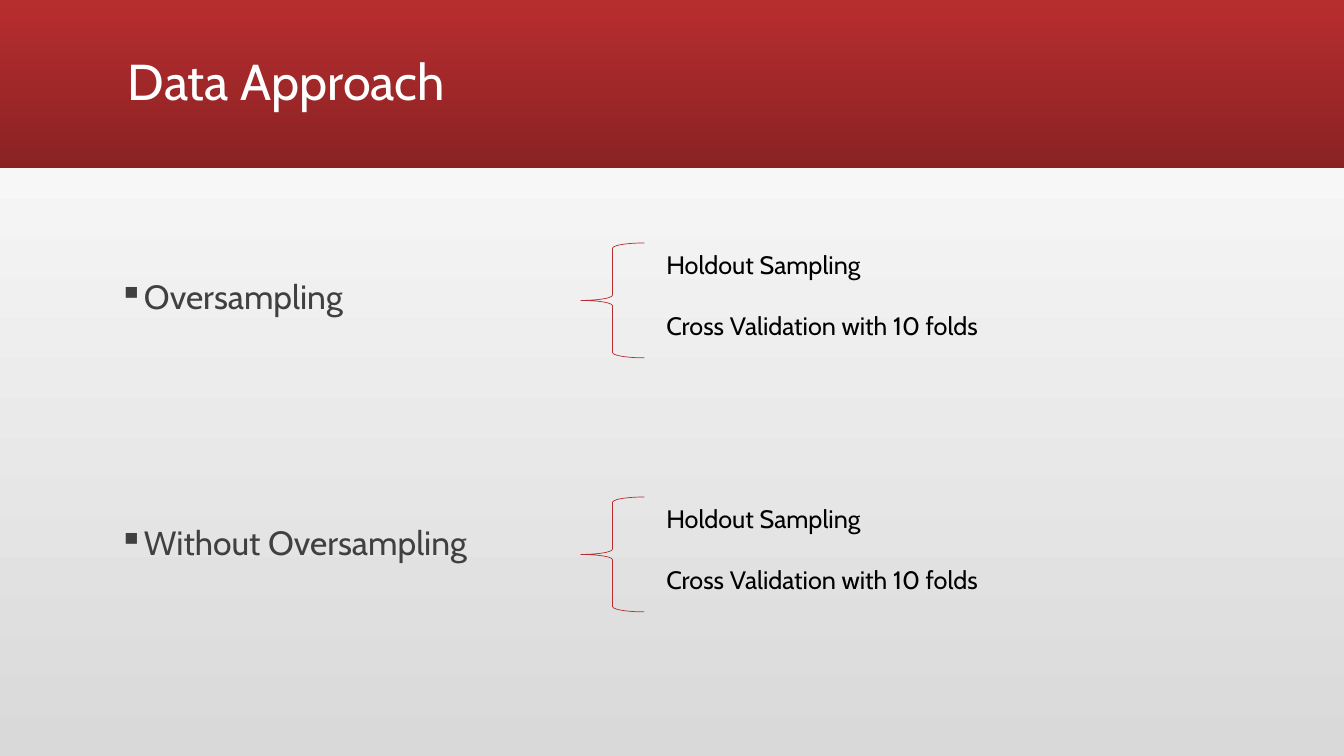
from lxml.etree import SubElement
from pptx import Presentation
from pptx.dml.color import RGBColor
from pptx.enum.shapes import MSO_SHAPE as Shape
from pptx.enum.text import MSO_ANCHOR as Anchor
from pptx.oxml.ns import qn
from pptx.util import Inches, Pt

RED = RGBColor(0xB8, 0x2D, 0x2F)
DARK_RED = RGBColor(0x8A, 0x22, 0x23)
WHITE = RGBColor(0xFF, 0xFF, 0xFF)
SILVER = RGBColor(0xD9, 0xD9, 0xD9)
GREY = RGBColor(0x40, 0x40, 0x40)
BLACK = RGBColor(0, 0, 0)
FONT = "Cabin"
WIDTH, HEIGHT = 13.33, 7.5

APPROACHES = ["Oversampling", "Without Oversampling"]
METHODS = ["Holdout Sampling", "Cross Validation with 10 folds"]


def fill_gradient(fill, start, end, angle):
    """Give a fill a two-stop linear gradient."""
    fill.gradient()
    fill.gradient_angle = angle
    for stop, color in zip(fill.gradient_stops, (start, end)):
        stop.color.rgb = color


def add_lines(slide, box, lines, size, color, gap=0, spacing=1.0, anchor=Anchor.TOP):
    """Write one paragraph per line in a box, gap points apart, and return the paragraphs."""
    frame = slide.shapes.add_textbox(*map(Inches, box)).text_frame
    frame.word_wrap = True
    frame.vertical_anchor = anchor
    frame.text = "\n".join(lines)
    for index, paragraph in enumerate(frame.paragraphs):
        paragraph.line_spacing = spacing
        paragraph.space_before = Pt(gap if index else 0)
        paragraph.font.name = FONT
        paragraph.font.size = Pt(size)
        paragraph.font.color.rgb = color
    return frame.paragraphs


def add_header(slide, left, top, width, height):
    """Draw the red title band."""
    band = slide.shapes.add_shape(Shape.RECTANGLE, *map(Inches, (left, top, width, height)))
    band.shadow.inherit = False
    band.line.fill.background()
    fill_gradient(band.fill, RED, DARK_RED, 270)
    title_box = (left + 1.17, top + 0.11, width - 2.33, 1.45)
    add_lines(slide, title_box, ["Data Approach"], 36, WHITE, spacing=0.9, anchor=Anchor.MIDDLE)


def add_approaches(slide, left, top, width, height):
    """List the approaches as widely spaced bullets."""
    for paragraph in add_lines(slide, (left, top, width, height), APPROACHES, 24, GREY, 150, 0.9):
        properties = paragraph._p.get_or_add_pPr()
        properties.set("marL", str(Inches(0.25)))
        properties.set("indent", str(-Inches(0.25)))
        SubElement(properties, qn("a:buChar"), char="▪")


def add_methods(slide, left, top, width, height):
    """Draw a brace at the left of the box and the methods beside it."""
    brace = slide.shapes.add_shape(
        Shape.RIGHT_BRACE, *map(Inches, (left, top, 0.63, 1.14)))
    brace.rotation = 180
    brace.shadow.inherit = False
    brace.fill.background()
    brace.line.color.rgb = RED
    brace.line.width = Pt(0.5)
    add_lines(slide, (left + 0.75, top + 0.01, width - 0.75, height), METHODS, 18, BLACK, 22)


def main():
    """Build the slide and save it."""
    deck = Presentation()
    deck.slide_width, deck.slide_height = Inches(WIDTH), Inches(HEIGHT)
    slide = deck.slides.add_slide(deck.slide_layouts[6])
    fill_gradient(slide.background.fill, SILVER, WHITE, 90)
    add_header(slide, 0, 0, WIDTH, 1.67)
    add_approaches(slide, 1.08, 2.73, 10, 5)
    for row in range(len(APPROACHES)):
        add_methods(slide, 5.76, 2.41 + row * 2.52, 5.87, 1.31)
    deck.save("out.pptx")


if __name__ == "__main__":
    main()
